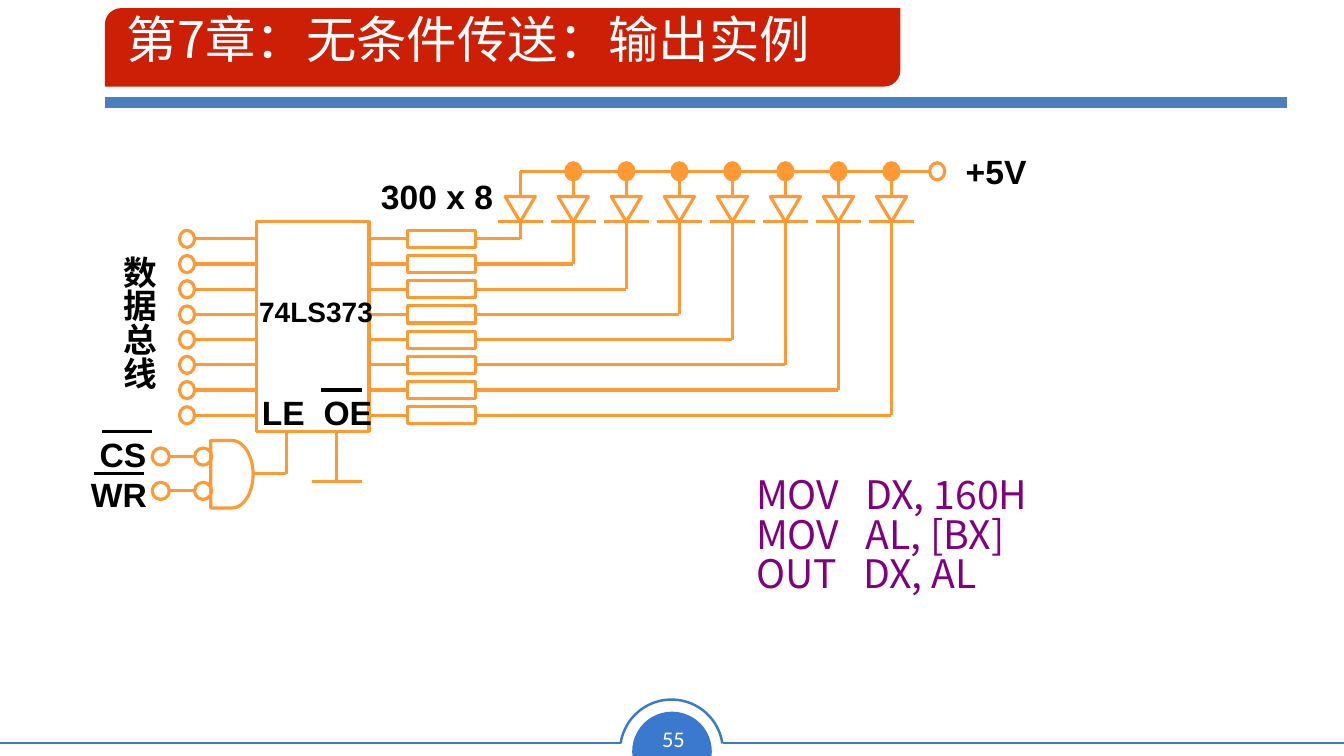
from lxml import etree
from pptx import Presentation
from pptx import util as u
from pptx.dml import color
from pptx.enum import shapes, text
from pptx.oxml import ns

SHAPE = shapes.MSO_SHAPE
MIDDLE = text.MSO_ANCHOR.MIDDLE
ORANGE, BLUE, BLACK, WHITE = "FF9933", "3B79CE", "000000", "FFFFFF"
SANS = "Noto Sans CJK SC"
STEP, FIRST, COUNT = 0.25, 2.37, 8
RAIL, BAR = 1.7, 2.2


def rgb(code):
    """Turn a hex string into a colour."""
    return color.RGBColor.from_string(code)


def shape(on, kind, box, fill=None, line=ORANGE, adj=()):
    """Add a preset shape with an optional fill and outline."""
    item = on.add_shape(kind, *map(u.Inches, box))
    item.shadow.inherit = False
    if fill:
        item.fill.solid()
        item.fill.fore_color.rgb = rgb(fill)
    else:
        item.fill.background()
    if line:
        item.line.color.rgb = rgb(line)
        item.line.width = u.Pt(2.25)
    else:
        item.line.fill.background()
    for i, value in enumerate(adj):
        item.adjustments[i] = value
    return item


def wire(on, x1, y1, x2, y2, tint=ORANGE, width=2.25):
    """Add a straight line between two points."""
    item = on.add_connector(shapes.MSO_CONNECTOR.STRAIGHT,
                            *map(u.Inches, (x1, y1, x2, y2)))
    item.line.color.rgb = rgb(tint)
    item.line.width = u.Pt(width)
    etree.SubElement(item._element.spPr, ns.qn("a:effectLst"))
    return item


def ring(on, x, y, wide=0.15, high=0.17, fill=None, kind=SHAPE.OVAL):
    """Add a small circle centred on a point."""
    return shape(on, kind, (x - wide / 2, y - high / 2, wide, high), fill)


def words(on, box, lines, size, font, tint, bold=False, wrap=False,
          align=text.PP_ALIGN.CENTER, anchor=MIDDLE, gap=None, hang=0):
    """Add a text box with one paragraph for each line."""
    item = on.add_textbox(*map(u.Inches, box))
    frame = item.text_frame
    frame.word_wrap = wrap
    frame.vertical_anchor = anchor
    for i, line in enumerate(lines):
        para = frame.add_paragraph() if i else frame.paragraphs[0]
        para.alignment = align
        if gap:
            para.line_spacing = gap
        if hang:
            props = para._p.get_or_add_pPr()
            props.set("marL", str(u.Inches(hang)))
            props.set("indent", str(-u.Inches(hang)))
        run = para.add_run()
        run.text = line
        run.font.size = u.Pt(size)
        run.font.name = font
        run.font.bold = bold
        run.font.color.rgb = rgb(tint)
        east = etree.SubElement(run._r.get_or_add_rPr(), ns.qn("a:ea"))
        east.set("typeface", font)
    return item


def label(on, box, line, size=24):
    """Add a bold black circuit label."""
    return words(on, box, [line], size, "Arial", BLACK, bold=True)


def frame(on):
    """Draw the title banner and the page number badge."""
    shape(on, SHAPE.CHORD, (6.27, 7.06, 0.79, 0.79), BLUE, None,
          (35.772, 153.29)).rotation = 112.4
    for x1, x2 in ((7.17, 13.33), (0, 6.16)):
        wire(on, x1, 7.37, x2, 7.37, BLUE, 1.77)
    arc = shape(on, SHAPE.ARC, (6.15, 6.94, 1.02, 1.02), None, BLUE,
                (113.17, 210.975))
    arc.line.width = u.Pt(1.77)
    words(on, (6.45, 7.14, 0.46, 0.37), ["55"], 16, "Calibri", WHITE)
    wire(on, 1.04, 1.02, 12.76, 1.02, "4B7EBC", 8)
    shape(on, SHAPE.ROUND_2_DIAG_RECTANGLE, (1.04, 0.08, 7.89, 0.78),
          "CD1F06", None, (0.209, 0))
    words(on, (1.16, 0.1, 11.37, 0.92), ["第7章：无条件传送：输出实例"], 36,
          SANS, WHITE, wrap=True, align=text.PP_ALIGN.LEFT,
          anchor=text.MSO_ANCHOR.TOP, gap=0.9)


def channel(on, i):
    """Draw one data line: input pin, resistor, diode and rail tap."""
    y = FIRST + STEP * i
    x = 5.16 + 0.526 * i
    wire(on, 1.93, y, 2.54, y)
    ring(on, 1.855, y)
    load = shape(on, SHAPE.RECTANGLE, (4.04, y - 0.085, 0.68, 0.17))
    wire(on, 3.66, y, 4.04, y).end_connect(load, 1)
    wire(on, 4.72, y, x, y).begin_connect(load, 3)
    wire(on, x, BAR, x, y)
    diode = shape(on, SHAPE.ISOSCELES_TRIANGLE, (x - 0.15, 1.95, 0.3, 0.25))
    diode._element.spPr.xfrm.set("flipV", "1")
    wire(on, x - 0.225, BAR, x + 0.225, BAR)
    wire(on, x, 1.95, x, RAIL)
    if i:
        ring(on, x, RAIL, fill=ORANGE)


def gate(on):
    """Draw the select gate with its inputs and the ground line."""
    wire(on, 2.84, 4.28, 2.84, 4.7)
    wire(on, 2.51, 4.7, 2.84, 4.7)
    shape(on, SHAPE.FLOWCHART_DELAY, (2.09, 4.37, 0.42, 0.67))
    for y in (4.53, 4.87):
        for x in (1.595, 2.015):
            ring(on, x, y, 0.17, 0.17, kind=SHAPE.FLOWCHART_CONNECTOR)
        wire(on, 1.68, y, 1.93, y)
    wire(on, 3.34, 4.28, 3.34, 4.78)
    wire(on, 3.09, 4.78, 3.59, 4.78)


def names(on):
    """Write the circuit labels and the bars of active-low signals."""
    label(on, (9.48, 1.45, 0.8, 0.5), "+5V")
    label(on, (2.47, 2.87, 1.33, 0.43), "74LS373", 20)
    label(on, (3.68, 1.7, 1.31, 0.5), "300 x 8")
    label(on, (2.48, 3.84, 0.66, 0.5), "LE")
    label(on, (3.1, 3.84, 0.7, 0.5), "OE")
    label(on, (0.89, 4.25, 0.66, 0.5), "CS")
    label(on, (0.8, 4.65, 0.76, 0.5), "WR")
    bus = label(on, (1.08, 2.44, 0.6, 1.42), "数据总线")
    bus.text_frame._txBody.bodyPr.set("vert", "eaVert")
    for x1, x2, y in ((3.18, 3.59, 3.87), (1.01, 1.51, 4.28),
                      (0.93, 1.43, 4.7)):
        wire(on, x1, y, x2, y, BLACK)


def main():
    """Build the slide and save it."""
    deck = Presentation()
    deck.slide_width, deck.slide_height = u.Inches(13.33), u.Inches(7.5)
    slide = deck.slides.add_slide(deck.slide_layouts[6])
    slide.background.fill.solid()
    slide.background.fill.fore_color.rgb = rgb(WHITE)
    frame(slide.shapes)
    code = ["MOV   DX, 160H", "MOV   AL, [BX]", "OUT   DX, AL"]
    words(slide.shapes, (7.4, 4.7, 4.98, 1.59), code, 28, SANS, "800080",
          wrap=True, align=text.PP_ALIGN.LEFT,
          anchor=text.MSO_ANCHOR.TOP, gap=0.83, hang=0.38)
    plan = slide.shapes.add_group_shape().shapes
    shape(plan, SHAPE.RECTANGLE, (2.54, 2.2, 1.12, 2.08))
    wire(plan, 9.22, RAIL, 5.16, RAIL)
    ring(plan, 9.295, RAIL)
    for i in range(COUNT):
        channel(plan, i)
    gate(plan)
    names(plan)
    deck.save("out.pptx")


if __name__ == "__main__":
    main()
